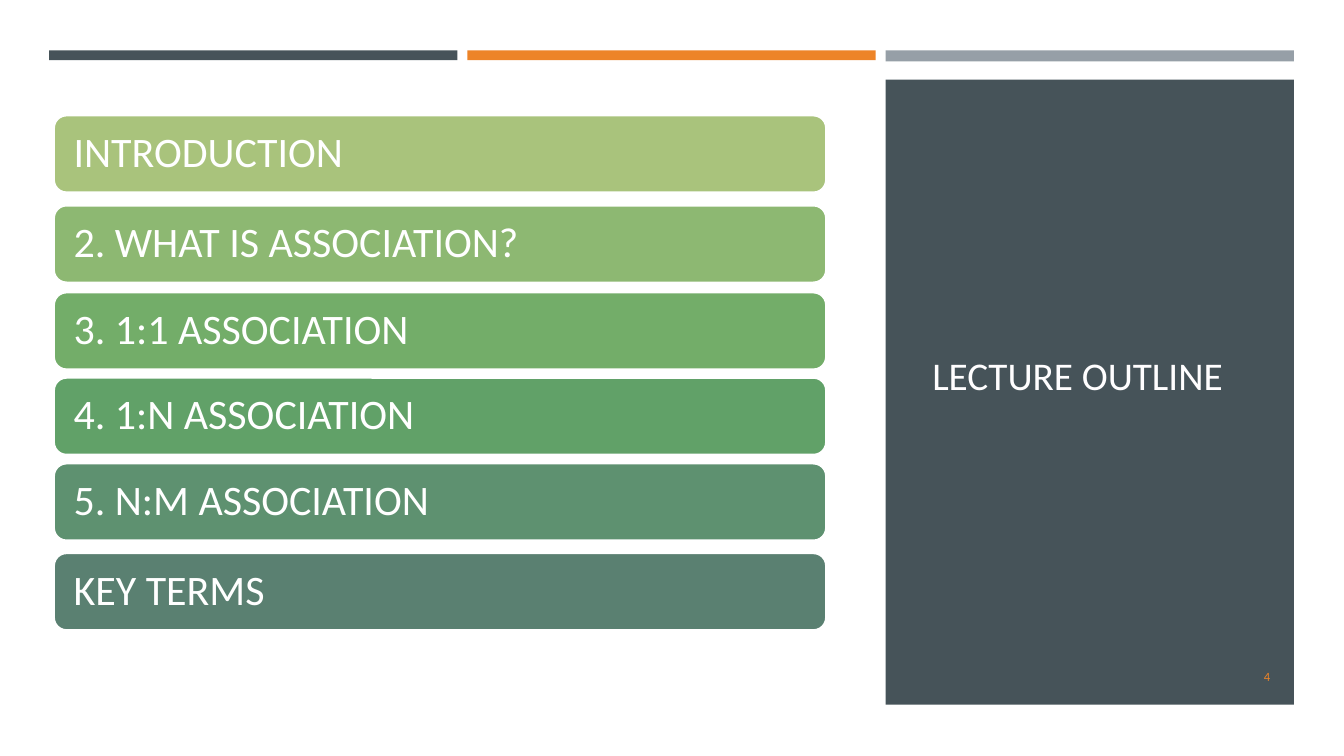
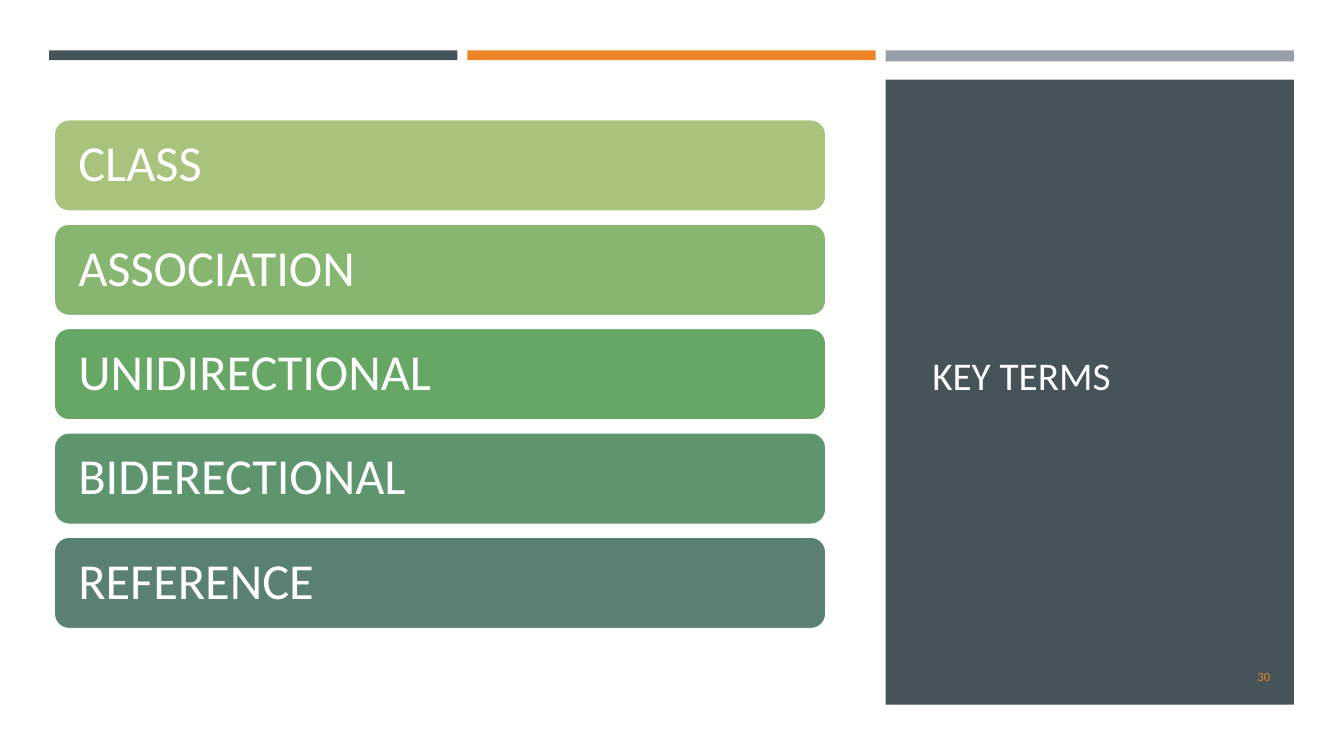
from dataclasses import dataclass

from pptx import Presentation
from pptx.dml.color import RGBColor
from pptx.enum.shapes import MSO_SHAPE
from pptx.enum.text import MSO_ANCHOR, PP_ALIGN
from pptx.shapes.autoshape import Shape
from pptx.slide import Slide
from pptx.util import Cm, Pt

RECT = MSO_SHAPE.RECTANGLE
ROUNDED = MSO_SHAPE.ROUNDED_RECTANGLE
MIDDLE = MSO_ANCHOR.MIDDLE
LEFT, RIGHT = PP_ALIGN.LEFT, PP_ALIGN.RIGHT
TITLE_ONLY = 5


@dataclass(frozen=True)
class Theme:
    font: str = "Calibri"
    slate: str = "465359"
    orange: str = "ED8428"
    grey: str = "969FA7"
    white: str = "FFFFFF"
    title_color: str = "FFFEFF"
    title_size: int = 28
    number_size: int = 9


@dataclass(frozen=True)
class Box:
    """Left, top, width and height in centimetres."""
    left: float
    top: float
    width: float
    height: float

    def place(self, sp: Shape) -> None:
        sp.left, sp.top = Cm(self.left), Cm(self.top)
        sp.width, sp.height = Cm(self.width), Cm(self.height)


@dataclass(frozen=True)
class Card:
    text: str
    color: str
    top: float


@dataclass(frozen=True)
class CardStyle:
    height: float
    inset: float
    size: int


@dataclass(frozen=True)
class Outline:
    title: str
    number: int
    style: CardStyle
    cards: list[Card]


THEME = Theme()
BAND_LEFT, BAND_TOP, BAND_WIDTH, BAND_PITCH = 1.24, 1.27, 10.29, 10.54
BANDS = [(THEME.slate, 0.25), (THEME.orange, 0.25), (THEME.grey, 0.28)]
PANEL = Box(BAND_LEFT + 2 * BAND_PITCH, 2.01, BAND_WIDTH, 15.75)
TITLE = Box(23.24, 2.9, 8.48, 13.08)
NUMBER = Box(29.34, 16.54, 2.92, 1.02)
CARD_LEFT, CARD_WIDTH = 1.35, 19.48

TERMS_TOP, TERMS_PITCH = 3.0, 2.63
TERMS = [
    ("CLASS", "A9C37C"),
    ("ASSOCIATION", "87B670"),
    ("UNIDIRECTIONAL", "66A765"),
    ("BIDERECTIONAL", "5E956E"),
    ("REFERENCE", "5A8071"),
]

SLIDES = [
    Outline("LECTURE OUTLINE", 4, CardStyle(1.96, 0.41, 30), [
        Card("INTRODUCTION", "A9C37C", 2.9),
        Card("2. WHAT IS ASSOCIATION?", "8DB872", 5.17),
        Card("3. 1:1 ASSOCIATION", "73AD69", 7.36),
        Card("4. 1:N ASSOCIATION", "61A168", 9.51),
        Card("5. N:M ASSOCIATION", "5E9170", 11.67),
        Card("KEY TERMS", "5A8071", 13.93),
    ]),
    Outline("KEY TERMS", 30, CardStyle(2.34, 0.51, 36), [
        Card(text, color, TERMS_TOP + i * TERMS_PITCH)
        for i, (text, color) in enumerate(TERMS)
    ]),
]


def set_text(sp: Shape, text: str, size: int, color: str,
             align: PP_ALIGN = LEFT) -> None:
    tf = sp.text_frame
    tf.text = text
    tf.word_wrap = True
    tf.vertical_anchor = MIDDLE
    p = tf.paragraphs[0]
    p.alignment = align
    p.font.name = THEME.font
    p.font.size = Pt(size)
    p.font.color.rgb = RGBColor.from_string(color)


def add_block(s: Slide, kind: MSO_SHAPE, box: Box, color: str) -> Shape:
    """Add a filled shape without outline or shadow."""
    sp = s.shapes.add_shape(kind, 0, 0, 0, 0)
    box.place(sp)
    sp.shadow.inherit = False
    sp.fill.solid()
    sp.fill.fore_color.rgb = RGBColor.from_string(color)
    sp.line.fill.background()
    return sp


def add_card(s: Slide, card: Card, style: CardStyle) -> None:
    box = Box(CARD_LEFT, card.top, CARD_WIDTH, style.height)
    sp = add_block(s, ROUNDED, box, card.color)
    sp.line.color.rgb = RGBColor.from_string(THEME.white)
    sp.line.width = Pt(2)
    set_text(sp, card.text, style.size, THEME.white)
    tf = sp.text_frame
    tf.margin_left = tf.margin_right = Cm(style.inset)
    tf.paragraphs[0].line_spacing = 0.9


def add_frame(s: Slide, title: str, number: int) -> None:
    """Add the bands, side panel, title and slide number."""
    for i, (color, height) in enumerate(BANDS):
        left = BAND_LEFT + i * BAND_PITCH
        add_block(s, RECT, Box(left, BAND_TOP, BAND_WIDTH, height), color)
    panel = add_block(s, RECT, PANEL, THEME.slate)

    sp = s.shapes.title
    TITLE.place(sp)
    set_text(sp, title, THEME.title_size, THEME.title_color)
    panel.element.addnext(sp.element)  # the title lies on the panel

    sp = s.shapes.add_textbox(0, 0, 0, 0)
    NUMBER.place(sp)
    set_text(sp, str(number), THEME.number_size, THEME.orange, RIGHT)


def main() -> None:
    prs = Presentation()
    prs.slide_width, prs.slide_height = Cm(33.87), Cm(19.05)
    for outline in SLIDES:
        s = prs.slides.add_slide(prs.slide_layouts[TITLE_ONLY])
        add_frame(s, outline.title, outline.number)
        for card in outline.cards:
            add_card(s, card, outline.style)
    prs.save("out.pptx")


if __name__ == "__main__":
    main()
